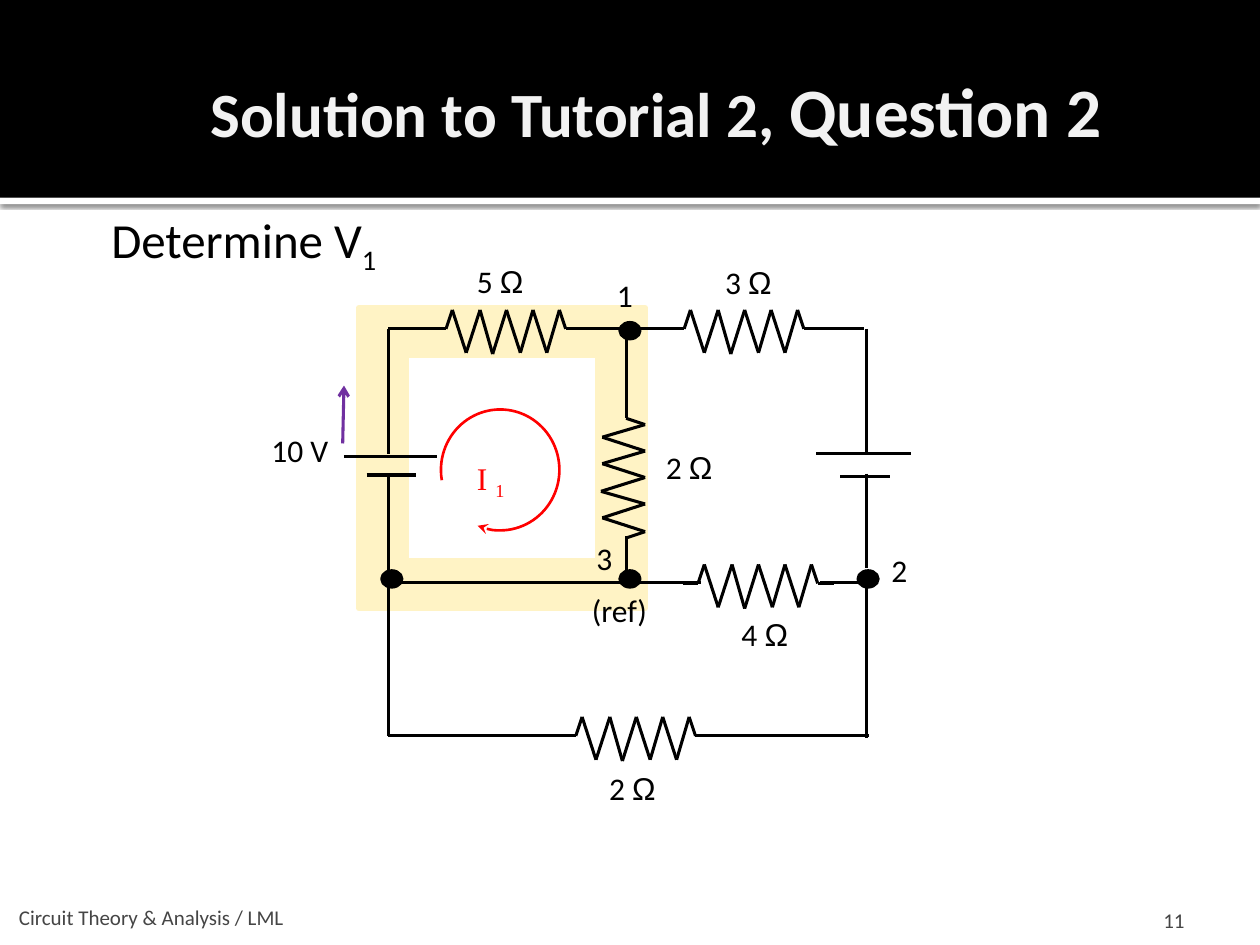
from itertools import pairwise

from lxml import etree
from pptx import Presentation
from pptx.dml.color import RGBColor
from pptx.enum.shapes import MSO_CONNECTOR, MSO_SHAPE
from pptx.enum.text import MSO_ANCHOR, PP_ALIGN
from pptx.oxml.ns import qn
from pptx.util import Inches, Pt

RECTANGLE, FRAME = MSO_SHAPE.RECTANGLE, MSO_SHAPE.FRAME
OVAL, ARC = MSO_SHAPE.OVAL, MSO_SHAPE.ARC
STRAIGHT = MSO_CONNECTOR.STRAIGHT
LEFT, CENTER, RIGHT = PP_ALIGN.LEFT, PP_ALIGN.CENTER, PP_ALIGN.RIGHT
TOP, MIDDLE, BOTTOM = MSO_ANCHOR.TOP, MSO_ANCHOR.MIDDLE, MSO_ANCHOR.BOTTOM
BLACK, WHITE, GREY, PALE = "000000", "FFFFFF", "454545", "F2F2F2"
CREAM, RED, PURPLE = "FFF3C5", "FF0000", "7030A0"
SANS, SYMBOL, SERIF = "Calibri", "Arial", "Times New Roman"
ZIGZAG = [(0, 0), (0.12, 0), (0.17, -0.15), (0.28, 0.19), (0.39, -0.15),
          (0.49, 0.2), (0.6, -0.15), (0.71, 0.19), (0.81, -0.15),
          (0.92, 0.19), (1.02, -0.15), (1.07, 0), (1.2, 0)]


def color(value):
    return RGBColor.from_string(value)


class CircuitSlide:
    """Draws circuit parts and text on one slide in a shared style."""

    def __init__(self, slide, font=SANS, size=18, weight=1.75):
        self.shapes = slide.shapes
        self.font, self.size, self.weight = font, size, weight

    def shape(self, kind, left, top, width, height, fill=None, line=None, weight=None):
        shape = self.shapes.add_shape(
            kind, Inches(left), Inches(top), Inches(width), Inches(height))
        shape.shadow.inherit = False
        if fill:
            shape.fill.solid()
            shape.fill.fore_color.rgb = color(fill)
        else:
            shape.fill.background()
        if line:
            shape.line.color.rgb = color(line)
            shape.line.width = Pt(weight or self.weight)
        else:
            shape.line.fill.background()
        return shape

    def soft_shadow(self, shape):
        effects = shape.element.spPr.find(qn("a:effectLst"))
        shadow = etree.SubElement(effects, qn("a:outerShdw"), blurRad=str(Pt(2.5)),
                                  dist=str(Pt(0.8)), dir="5400000", rotWithShape="0")
        tint = etree.SubElement(shadow, qn("a:srgbClr"), val=BLACK)
        etree.SubElement(tint, qn("a:alpha"), val="60000")

    def arrowhead(self, shape, kind):
        line = shape.element.spPr.find(qn("a:ln"))
        etree.SubElement(line, qn("a:tailEnd"), type=kind)

    def wire(self, x1, y1, x2, y2, line=BLACK, head=None):
        wire = self.shapes.add_connector(
            STRAIGHT, Inches(x1), Inches(y1), Inches(x2), Inches(y2))
        wire.line.color.rgb = color(line)
        wire.line.width = Pt(self.weight)
        if head:
            self.arrowhead(wire, head)
        etree.SubElement(wire.element.spPr, qn("a:effectLst"))

    def resistor(self, x, y, upward=False):
        points = [(x - across, y - along) if upward else (x + along, y + across)
                  for along, across in ZIGZAG]
        for start, end in pairwise(points):
            self.wire(*start, *end)

    def node(self, x, y):
        self.shape(OVAL, x - 0.08, y - 0.07, 0.16, 0.13, BLACK, BLACK)

    def loop(self, left, top, width, height, start, end):
        loop = self.shape(ARC, left, top, width, height, line=RED, weight=1.5)
        loop.adjustments[0], loop.adjustments[1] = start * 0.6, end * 0.6
        self.arrowhead(loop, "stealth")

    def text(self, left, top, width, height, runs, align=CENTER, anchor=TOP,
             margins=(0, 0, 0, 0), wrap=False, size=None, ink=BLACK, bold=False):
        box = self.shapes.add_textbox(
            Inches(left), Inches(top), Inches(width), Inches(height))
        frame = box.text_frame
        frame.word_wrap = wrap
        frame.vertical_anchor = anchor
        (frame.margin_left, frame.margin_top,
         frame.margin_right, frame.margin_bottom) = map(Inches, margins)
        para = frame.paragraphs[0]
        para.alignment = align
        for words, changes in runs:
            span = para.add_run()
            span.text = words
            font = span.font
            font.name = changes.get("font", self.font)
            font.size = Pt(changes.get("size", size or self.size))
            font.bold = bold
            font.color.rgb = color(ink)
            if "baseline" in changes:
                span.font._element.set("baseline", changes["baseline"])

    def ohms(self, left, top, value):
        self.text(left, top, 0.4, 0.3, [(f"{value} ", {}), ("Ω", {"font": SYMBOL})])


def main():
    deck = Presentation()
    deck.slide_width, deck.slide_height = Inches(10), Inches(7.5)
    page = CircuitSlide(deck.slides.add_slide(deck.slide_layouts[6]))

    page.soft_shadow(page.shape(RECTANGLE, 0, 1.57, 10, 0.05, WHITE))
    page.shape(RECTANGLE, 0, 0, 10, 1.57, BLACK)
    page.text(0.22, 0.41, 9.03, 0.92,
              [("Solution to Tutorial 2, ", {}), ("Question 2", {"size": 39.6})],
              LEFT, MIDDLE, (1.45, 0.05, 0.05, 0.05), True, 36, PALE, True)
    subscript = {"baseline": "-25000"}
    page.text(0.86, 1.66, 2.15, 0.79, [("Determine V", {}), ("1", subscript)], size=28)

    frame = page.shape(FRAME, 2.85, 2.44, 2.27, 2.39, CREAM, CREAM, 3)
    frame.adjustments[0] = 0.167

    for x, y in ((3.42, 2.61), (5.31, 2.61), (5.42, 4.63), (4.45, 5.84)):
        page.resistor(x, y)
    page.resistor(4.97, 4.39, upward=True)

    left, middle, right = 3.08, 4.97, 6.88
    top, center, bottom = 2.61, 4.62, 5.84
    for x1, x2, y in ((left, 3.48, top), (4.58, middle, top), (4.99, 5.38, top),
                      (6.47, 6.86, top), (left, 5.56, center), (6.51, 6.9, center),
                      (left, 4.52, bottom), (5.6, 6.9, bottom),
                      (2.73, 3.47, 3.62), (2.91, 3.3, 3.77),
                      (6.48, 7.23, 3.6), (6.67, 7.06, 3.78)):
        page.wire(x1, y, x2, y)
    for x, y1, y2 in ((left, top, 3.6), (left, 3.77, center), (left, center, bottom),
                      (middle, top, 3.19), (middle, 4.25, center),
                      (right, top, 3.6), (right, 3.76, 4.51), (right, center, 5.86)):
        page.wire(x, y1, x, y2)
    for x, y in ((5, 2.63), (3.11, 4.6), (5, 4.6), (6.89, 4.6)):
        page.node(x, y)

    for x, y, value in ((3.77, 2.08, 5), (5.74, 2.09, 3), (5.27, 3.56, 2),
                        (5.87, 4.88, 4), (4.82, 6.1, 2)):
        page.ohms(x, y, value)
    for x, y, width, words in ((4.89, 2.19, 0.14, "1"), (6.97, 4.37, 0.39, "2 "),
                               (4.72, 4.28, 0.21, "3 "), (4.68, 4.69, 0.53, "(ref) "),
                               (2.12, 3.42, 0.52, "10 V")):
        page.text(x, y, width, 0.3, [(words, {})])

    page.loop(3.5, 3.25, 0.94, 0.96, 170, 112)
    page.text(3.58, 3.64, 0.63, 0.3,
              [("I ", {"font": SERIF}), ("1", {"font": SERIF, **subscript})],
              wrap=True, ink=RED)
    page.wire(2.72, 3.52, 2.73, 3.06, PURPLE, "arrow")

    page.text(0.1, 7.08, 6.02, 0.3, [("Circuit Theory & Analysis / LML", {})],
              LEFT, BOTTOM, (0.05, 0.05, 0.05, 0), True, 12, GREY)
    page.text(8.7, 7.1, 0.8, 0.3, [("11", {})],
              RIGHT, BOTTOM, (0.1, 0.05, 0.1, 0), True, 12, GREY)
    deck.save("out.pptx")


if __name__ == "__main__":
    main()
